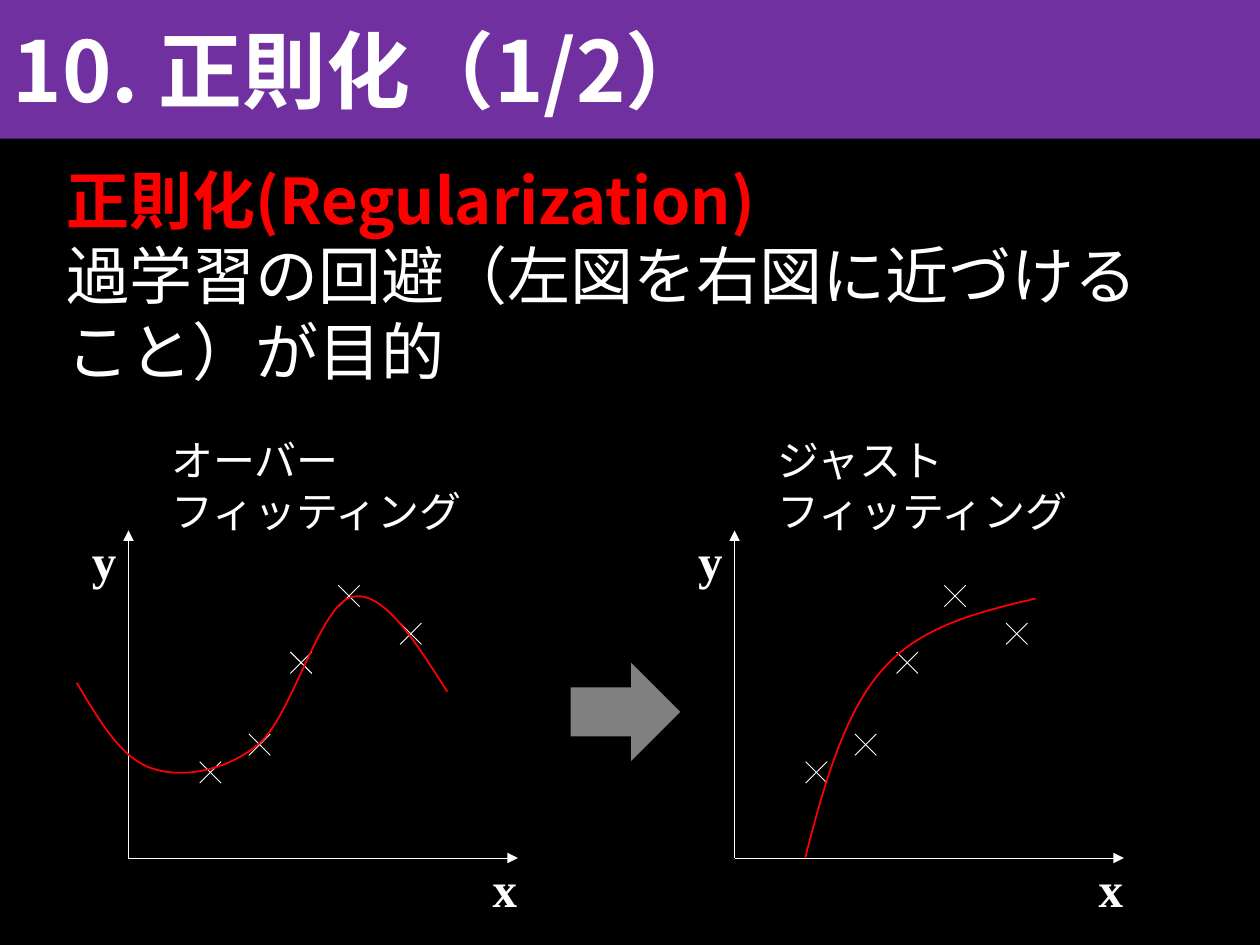
from lxml import etree
from pptx import Presentation
from pptx.dml.color import RGBColor
from pptx.enum.shapes import MSO_CONNECTOR, MSO_SHAPE
from pptx.enum.text import MSO_ANCHOR, MSO_AUTO_SIZE, PP_ALIGN
from pptx.oxml.ns import qn
from pptx.util import Inches, Pt

STRAIGHT = MSO_CONNECTOR.STRAIGHT
RIGHT_ARROW = MSO_SHAPE.RIGHT_ARROW
MIDDLE = MSO_ANCHOR.MIDDLE
LEFT = PP_ALIGN.LEFT
NO_FIT = MSO_AUTO_SIZE.NONE
GROW = MSO_AUTO_SIZE.SHAPE_TO_FIT_TEXT

BLACK = RGBColor(0x00, 0x00, 0x00)
WHITE = RGBColor(0xFF, 0xFF, 0xFF)
PURPLE = RGBColor(0x70, 0x30, 0xA0)
RED = RGBColor(0xFF, 0x00, 0x00)
GRAY = RGBColor(0x80, 0x80, 0x80)

JAPANESE_FONT = "Noto Sans CJK JP"
AXIS_FONT = "Times New Roman"

# Plot positions are measured from the origin of its axes, with y upwards.
ORIGIN_Y = 6.81
AXIS_WIDTH, AXIS_HEIGHT = 3.09, 2.6
MARK_SIZE = 0.17
SAMPLES = [(0.65, 0.68), (1.04, 0.9), (1.37, 1.55), (1.75, 2.08), (2.24, 1.78)]
# Each curve is a start point followed by triples of cubic Bézier points.
OVERFIT_CURVE = [
    (-0.41, 1.39),
    (-0.23, 1.09), (-0.06, 0.79), (0.19, 0.71),
    (0.43, 0.63), (0.78, 0.69), (1.04, 0.91),
    (1.3, 1.14), (1.52, 2.01), (1.77, 2.07),
    (2.01, 2.14), (2.27, 1.73), (2.53, 1.32),
]
JUST_FIT_CURVE = [
    (0.56, 0),
    (0.71, 0.58), (0.87, 1.15), (1.17, 1.49),
    (1.47, 1.84), (1.93, 1.95), (2.39, 2.06),
]
PLOTS = [
    (1.02, "オーバー", OVERFIT_CURVE),
    (5.83, "ジャスト", JUST_FIT_CURVE),
]


def format_paragraph(para, size, color, bold=False, font_name=JAPANESE_FONT):
    font = para.font
    font.name, font.size, font.bold = font_name, Pt(size), bold
    font.color.rgb = color
    properties = para._p.pPr.find(qn("a:defRPr"))
    latin = properties.find(qn("a:latin"))
    east_asian = etree.Element(qn("a:ea"), typeface=font_name)
    latin.addnext(east_asian)


def add_title(page, text):
    title = page.shapes.title
    title.left, title.top = Inches(0), Inches(0)
    title.width, title.height = Inches(10), Inches(1.1)
    title.fill.solid()
    title.fill.fore_color.rgb = PURPLE
    frame = title.text_frame
    frame.text = text
    frame.auto_size = NO_FIT
    frame.vertical_anchor = MIDDLE
    para = frame.paragraphs[0]
    para.alignment = LEFT
    format_paragraph(para, 48, WHITE, bold=True)


def add_text(parent, left, top, width, height, lines):
    box = parent.shapes.add_textbox(
        Inches(left), Inches(top), Inches(width), Inches(height))
    frame = box.text_frame
    frame.word_wrap = True
    frame.auto_size = GROW
    frame.text = "\n".join(lines)
    return frame


def add_axis_label(plot, left, top, text):
    frame = add_text(plot, left, top, 0.2, 0.47, [text])
    frame.word_wrap = False
    frame.margin_left = frame.margin_right = 0
    frame.margin_top = frame.margin_bottom = 0
    format_paragraph(frame.paragraphs[0], 28, WHITE, True, AXIS_FONT)


def add_line(plot, x1, y1, x2, y2, arrow=False):
    connector = plot.shapes.add_connector(
        STRAIGHT, Inches(x1), Inches(y1), Inches(x2), Inches(y2))
    connector.line.color.rgb = WHITE
    connector.line.width = Pt(0.5)
    etree.SubElement(connector._element.spPr, qn("a:effectLst"))
    if arrow:
        outline = connector.line._get_or_add_ln()
        etree.SubElement(outline, qn("a:headEnd"), type="triangle")


def add_cross(plot, x, y):
    half = MARK_SIZE / 2
    add_line(plot, x - half, y - half, x + half, y + half)
    add_line(plot, x + half, y - half, x - half, y + half)


def add_curve(plot, origin_x, controls):
    """Join the end points by segments, then bend each into a cubic Bézier."""
    places = [(Inches(origin_x + x), Inches(ORIGIN_Y - y)) for x, y in controls]
    builder = plot.shapes.build_freeform(*places[0])
    builder.add_line_segments(places[3::3], close=False)
    curve = builder.convert_to_shape()
    segments = list(curve._element.spPr.iter(qn("a:lnTo")))
    for index, segment in enumerate(segments):
        segment.tag = qn("a:cubicBezTo")
        handles = places[3 * index + 1:3 * index + 3]
        for position, (x, y) in enumerate(handles):
            handle = etree.Element(
                qn("a:pt"), x=str(x - curve.left), y=str(y - curve.top))
            segment.insert(position, handle)
    curve.shadow.inherit = False
    curve.fill.background()
    curve.line.color.rgb = RED
    curve.line.width = Pt(1)


def add_plot(page, origin_x, fit_name, curve):
    plot = page.shapes.add_group_shape()
    axis_top = ORIGIN_Y - AXIS_HEIGHT
    axis_right = origin_x + AXIS_WIDTH
    add_line(plot, origin_x, axis_top, origin_x, ORIGIN_Y, arrow=True)
    add_line(plot, axis_right, ORIGIN_Y, origin_x, ORIGIN_Y, arrow=True)
    for x, y in SAMPLES:
        add_cross(plot, origin_x + x, ORIGIN_Y - y)
    add_axis_label(plot, origin_x - 0.29, axis_top, "y")
    add_axis_label(plot, axis_right - 0.2, ORIGIN_Y, "x")
    add_curve(plot, origin_x, curve)
    caption = add_text(plot, origin_x + 0.24, 3.4, 2.62, 0.91,
                       [fit_name, "フィッティング"])
    for para in caption.paragraphs:
        format_paragraph(para, 24, WHITE)


def add_block_arrow(page):
    arrow = page.shapes.add_shape(
        RIGHT_ARROW, Inches(4.53), Inches(5.26), Inches(0.87), Inches(0.78))
    arrow.shadow.inherit = False
    arrow.fill.solid()
    arrow.fill.fore_color.rgb = GRAY
    arrow.line.fill.background()


def main():
    deck = Presentation()
    deck.slide_width, deck.slide_height = Inches(10), Inches(7.5)
    page = deck.slides.add_slide(deck.slide_layouts[5])
    page.background.fill.solid()
    page.background.fill.fore_color.rgb = BLACK

    add_title(page, "10. 正則化（1/2）")
    body = add_text(page, 0.43, 1.23, 9.11, 1.92, [
        "正則化(Regularization)",
        "過学習の回避（左図を右図に近づけること）が目的",
    ])
    heading, purpose = body.paragraphs
    format_paragraph(heading, 36, RED, bold=True)
    format_paragraph(purpose, 36, WHITE)

    for origin_x, fit_name, curve in PLOTS:
        add_plot(page, origin_x, fit_name, curve)
    add_block_arrow(page)
    deck.save("out.pptx")


if __name__ == "__main__":
    main()
